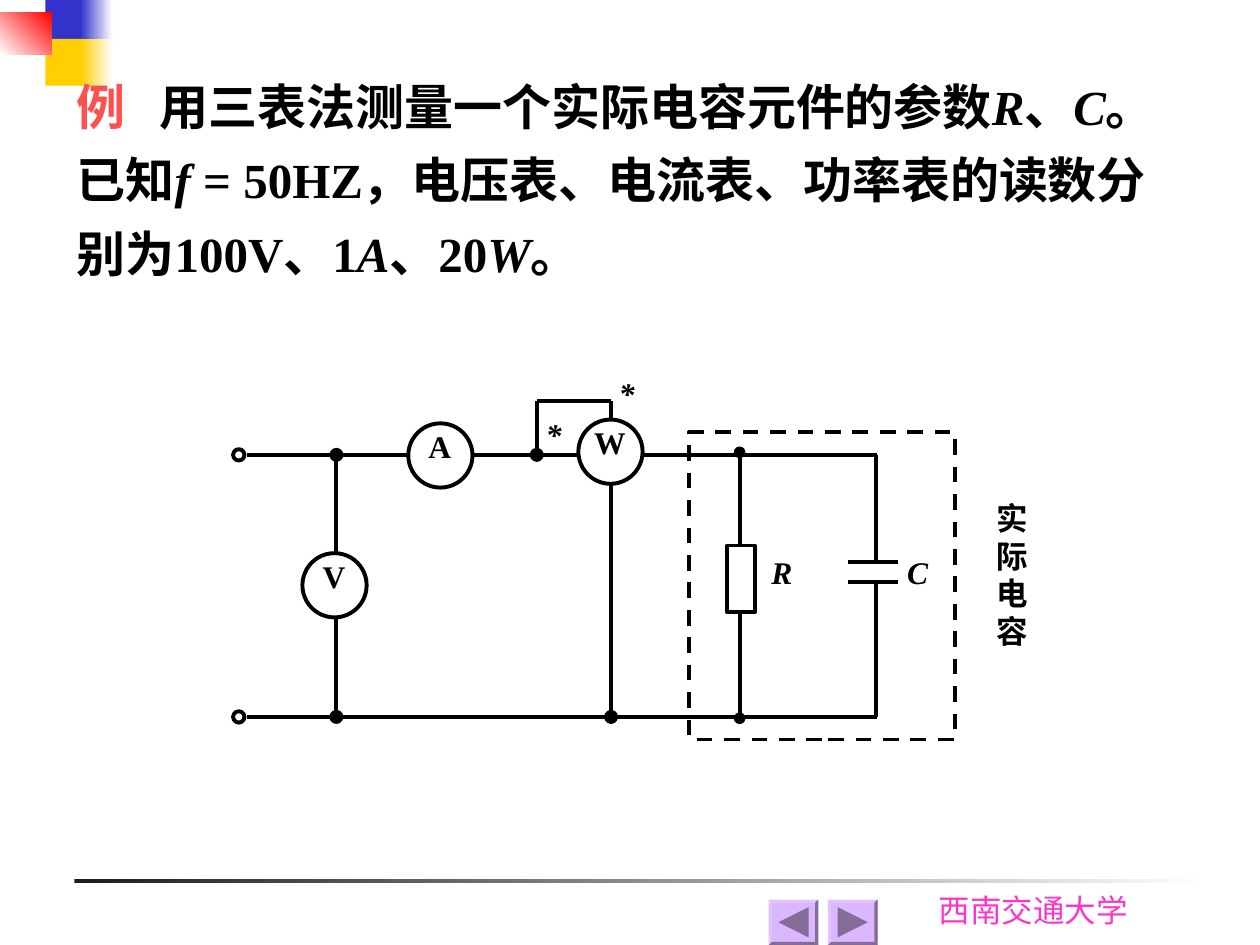
from lxml.etree import SubElement
from pptx import Presentation
from pptx.dml.color import RGBColor
from pptx.enum.dml import MSO_LINE
from pptx.enum.shapes import MSO_CONNECTOR, MSO_SHAPE
from pptx.enum.text import MSO_ANCHOR, MSO_AUTO_SIZE, PP_ALIGN
from pptx.oxml.ns import qn
from pptx.util import Inches, Pt

BLACK = RGBColor(0x00, 0x00, 0x00)
WHITE = RGBColor(0xFF, 0xFF, 0xFF)
INK = RGBColor(0x1C, 0x1C, 0x1C)
BLUE = RGBColor(0x33, 0x33, 0xCC)
GOLD = RGBColor(0xFF, 0xCF, 0x01)
RED = RGBColor(0xFF, 0x00, 0x00)
CORAL = RGBColor(0xFF, 0x50, 0x50)
PINK = RGBColor(0xFF, 0x33, 0xCC)
LILAC = RGBColor(0xDB, 0xB7, 0xFF)
LIGHT = RGBColor(0xE2, 0xC5, 0xFF)
DARK = RGBColor(0x84, 0x6E, 0x99)

SERIF = "Times New Roman"
COLS, ROWS = 100, 75  # grid cells of 0.1 inch
TOP, BASE = 36.1, 56.9  # rows of the two main wires
VOLT, NODE, WATT, RES, CAP = 26.7, 42.6, 48.5, 58.7, 69.5  # columns


def cell(n):
    return Inches(n / 10)


def box(x, y, w, h):
    return [cell(n) for n in (x, y, w, h)]


def paint(shape, fill=None, line=None, dash=None):
    shape.shadow.inherit = False
    if fill is None:
        shape.fill.background()
    else:
        shape.fill.solid()
        shape.fill.fore_color.rgb = fill
    if line is None:
        shape.line.fill.background()
    else:
        shape.line.color.rgb = line
        shape.line.width = Pt(2.25)
        if dash:
            shape.line.dash_style = dash


def draw(slide, kind, area, **style):
    shape = slide.shapes.add_shape(kind, *box(*area))
    paint(shape, **style)
    return shape


def fade(slide, area, start, end, angle=0):
    shape = draw(slide, MSO_SHAPE.RECTANGLE, area)
    shape.fill.gradient()
    shape.fill.gradient_angle = angle
    for stop, color in zip(shape.fill.gradient_stops, (start, end)):
        stop.color.rgb = color


def disc(slide, x, y, size, fill):
    area = (x - size / 2, y - size / 2, size, size)
    draw(slide, MSO_SHAPE.OVAL, area, fill=fill, line=BLACK)


def wire(slide, x1, y1, x2, y2, dots=False):
    line = slide.shapes.add_connector(
        MSO_CONNECTOR.STRAIGHT, *(cell(n) for n in (x1, y1, x2, y2)))
    line.line.color.rgb = BLACK
    line.line.width = Pt(2.25)
    if dots:
        for end in ("a:headEnd", "a:tailEnd"):
            SubElement(line.line._get_or_add_ln(), qn(end), type="oval")
    SubElement(line.element.spPr, qn("a:effectLst"))


def write(shape, paras, size=18, font=SERIF, color=BLACK, bold=True,
          italic=False, align=PP_ALIGN.CENTER, inset=(0, 0.1, 0.1, 0.1),
          anchor=MSO_ANCHOR.TOP, space=None, tab=None):
    """Fill a shape; each paragraph is a list of (text, changes) pairs."""
    frame = shape.text_frame
    frame.word_wrap = True
    frame.auto_size = MSO_AUTO_SIZE.NONE
    frame.vertical_anchor = anchor
    (frame.margin_left, frame.margin_top,
     frame.margin_right, frame.margin_bottom) = [cell(n) for n in inset]
    for i, runs in enumerate(paras):
        para = frame.add_paragraph() if i else frame.paragraphs[0]
        if tab:
            tabs = SubElement(para._p.get_or_add_pPr(), qn("a:tabLst"))
            SubElement(tabs, qn("a:tab"), pos=str(cell(tab)), algn="l")
        para.alignment = align
        para.space_before = Pt(0)
        if space:
            para.line_spacing = space
        for text, change in runs:
            run = para.add_run()
            run.text = text
            run.font.name = font
            run.font.size = Pt(size)
            run.font.bold = bold
            run.font.italic = change.get("italic", italic)
            run.font.color.rgb = change.get("color", color)


def label(slide, text, x, y, w=6.8, h=5.8, **form):
    shape = slide.shapes.add_textbox(*box(x, y, w, h))
    write(shape, [[(char, {})] for char in text], **form)


def meter(slide, name, x, y):
    disc(slide, x, y, 5.1, WHITE)
    label(slide, name, x - 3.4, y - 2.35)


def shard(slide, points, fill):
    first, *rest = [(cell(x), cell(y)) for x, y in points]
    pen = slide.shapes.build_freeform(*first)
    pen.add_line_segments(rest, close=True)
    paint(pen.convert_to_shape(), fill=fill)


def button(slide, x, y, side):
    """Bevelled button; side is -1 for back and 1 for next."""
    w, h, rim = 3.95, 3.6, 0.25
    outer = [(x, y), (x + w, y), (x + w, y + h), (x, y + h)]
    inner = [(x + rim, y + rim), (x + w - rim, y + rim),
             (x + w - rim, y + h - rim), (x + rim, y + h - rim)]
    shard(slide, outer, LILAC)
    for i, shade in enumerate((LIGHT, DARK, DARK, LIGHT)):
        j = (i + 1) % 4
        shard(slide, [outer[i], outer[j], inner[j], inner[i]], shade)
    mid_x, mid_y, reach = x + w / 2, y + h / 2, 1.2
    back = mid_x - side * reach
    shard(slide, [(mid_x + side * reach, mid_y),
                  (back, mid_y - reach), (back, mid_y + reach)], DARK)


def frame_page(slide):
    # Rule and school name
    fade(slide, (5.9, 69.8, 90, 0.3), INK, WHITE)
    label(slide, ["西南交通大学"], 73.5, 70.2, 18.1, 4, font="Cabin",
          color=PINK, bold=False, align=PP_ALIGN.LEFT, inset=(1, 0.5, 1, 0.5))
    # Corner blocks
    for y, color in ((0, BLUE), (3.1, GOLD)):
        draw(slide, MSO_SHAPE.RECTANGLE, (3.6, y, 3.1, 3.7), fill=color)
        fade(slide, (6.4, y, 2.5, 3.7), color, WHITE)
    fade(slide, (0, 1, 4.1, 3.3), WHITE, RED, 45)
    # Page buttons
    button(slide, 61, 71.4, -1)
    button(slide, 65.7, 71.4, 1)


def state(slide):
    title = slide.shapes.title
    title.element.getparent().append(title.element)  # bring to front
    title.left, title.top, title.width, title.height = box(5.1, 4.4, 88.3, 18.5)
    slant = {"italic": True}
    write(title, [[
        ("例", {"color": CORAL}),
        ("\t用三表法测量一个实际电容元件的参数", {}), ("R", slant),
        ("、", {}), ("C", slant), ("。已知", {}), ("f ", slant),
        ("= 50HZ，电压表、电流表、功率表的读数分别为100V、1", {}),
        ("A", slant), ("、20", {}), ("W", slant), ("。", {}),
    ]], size=28, align=PP_ALIGN.LEFT, inset=(1, 0.5, 1, 0.5),
        anchor=MSO_ANCHOR.MIDDLE, space=1.25, tab=6.6)


def circuit(slide):
    # Main wires and open ends
    for y in (TOP, BASE):
        wire(slide, 19.6, y, CAP + 0.1, y)
        disc(slide, 18.95, y, 0.9, WHITE)
    # Meter branches
    wire(slide, VOLT, TOP, VOLT, BASE)
    wire(slide, WATT, 31.8, WATT, BASE)
    wire(slide, WATT, 31.8, NODE, 31.8)
    wire(slide, NODE, 31.8, NODE, TOP)
    for x, y in ((VOLT, TOP), (NODE, TOP), (VOLT, BASE), (WATT, BASE)):
        disc(slide, x, y, 0.8, BLACK)
    meter(slide, "A", 34.95, 36.15)
    meter(slide, "W", 48.45, 35.85)
    meter(slide, "V", 26.55, 46.45)
    label(slide, "*", 46.4, 29.6, italic=True)
    label(slide, "*", 40.6, 32.8, italic=True)
    # Real capacitor: R beside C
    draw(slide, MSO_SHAPE.RECTANGLE, (54.7, 34.3, 21.1, 24.4),
         line=BLACK, dash=MSO_LINE.DASH)
    wire(slide, RES, 35.9, RES, 57, dots=True)
    draw(slide, MSO_SHAPE.RECTANGLE, (57.7, 43.3, 2.2, 5.3),
         fill=WHITE, line=BLACK)
    for plate, end in ((44.6, TOP), (46.2, BASE)):
        wire(slide, 67.3, plate, 71.3, plate)
        wire(slide, CAP, plate, CAP, end)
    label(slide, "R", 58.7, 43.8, italic=True)
    label(slide, "C", 72, 43.8, italic=True, align=PP_ALIGN.JUSTIFY)
    label(slide, "实际电容", 79.1, 39.1, 8.9, 17.3,
          align=PP_ALIGN.JUSTIFY, inset=(0, 0.5, 1, 0.5))


def main():
    deck = Presentation()
    deck.slide_width, deck.slide_height = cell(COLS), cell(ROWS)
    slide = deck.slides.add_slide(deck.slide_layouts[5])
    frame_page(slide)
    state(slide)
    circuit(slide)
    deck.save("out.pptx")


if __name__ == "__main__":
    main()
